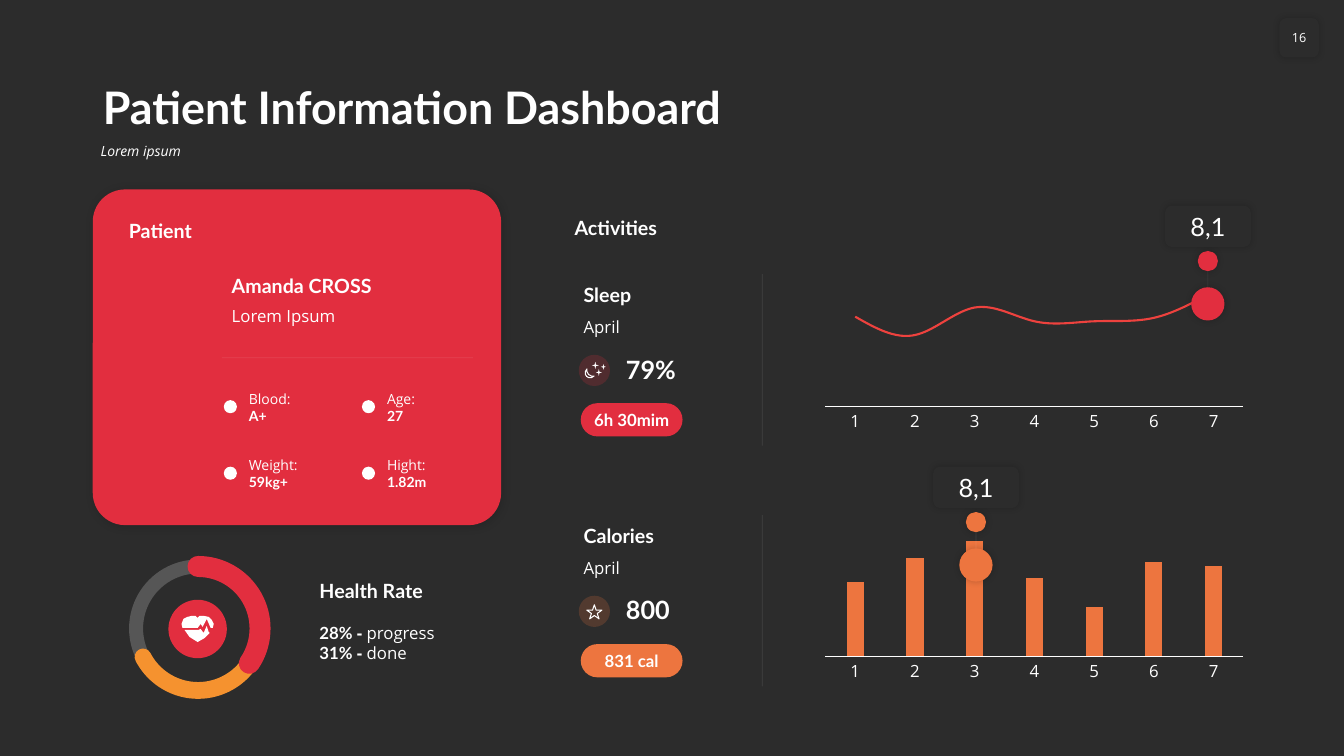
from typing import NamedTuple, Optional

from lxml import etree
from pptx import Presentation
from pptx import util as u
from pptx.chart.data import CategoryChartData
from pptx.dml.color import RGBColor
from pptx.enum import chart as charts, shapes, text
from pptx.oxml.ns import qn

COLORS = {"night": "2C2C2C", "white": "FFFFFF", "red": "E22E3F", "curve": "EE423E",
          "orange": "ED753F", "amber": "F5922F", "black": "000000"}
GRID = u.Inches(0.1)  # side of one grid cell; positions are columns and rows
HEAD, BODY = "Lato", "Open Sans"
TOP, MIDDLE, BOTTOM = text.MSO_ANCHOR.TOP, text.MSO_ANCHOR.MIDDLE, text.MSO_ANCHOR.BOTTOM
PRESET = shapes.MSO_SHAPE


class Area(NamedTuple):
    col: float
    row: float
    cols: float
    rows: float

    def emu(self) -> list[int]:
        return [round(cells * GRID) for cells in self]


class Words(NamedTuple):
    text: str
    size: float
    font: str = BODY
    bold: bool = False
    italic: bool = False


class Shadow(NamedTuple):
    opacity: int
    blur: float
    distance: float


class Activity(NamedTuple):
    name: str
    amount: str
    total: str
    row: float
    color: str
    chart_row: float
    kind: int
    values: tuple
    floor: int
    series_color: str
    pin_col: float
    pin_row: float


FLOAT = Shadow(20, 5, 0)


# Formatting helpers
def rgb(name: str) -> RGBColor:
    return RGBColor.from_string(COLORS[name])


def fade(parent, percent: int) -> None:
    color = next(parent.iter(qn("a:srgbClr")))
    etree.SubElement(color, qn("a:alpha")).set("val", str(percent * 1000))


def write(shape, paragraphs: list[list[Words]], anchor=TOP, align=None, insets=None) -> None:
    frame = shape.text_frame
    frame.word_wrap, frame.vertical_anchor = True, anchor
    if insets:
        frame.margin_left = frame.margin_right = round(insets[0] * GRID)
        frame.margin_top = frame.margin_bottom = round(insets[1] * GRID)
    for number, pieces in enumerate(paragraphs):
        line = frame.add_paragraph() if number else frame.paragraphs[0]
        line.alignment = align
        for words in pieces:
            run = line.add_run()
            run.text = words.text
            font = run.font
            font.name, font.size = words.font, u.Pt(words.size)
            font.bold, font.italic = words.bold, words.italic
            font.color.rgb = rgb("white")


def label(slide, area: Area, *paragraphs: list[Words], anchor=TOP):
    box = slide.shapes.add_textbox(*area.emu())
    write(box, list(paragraphs), anchor)
    return box


def heading(slide, area: Area, words: str, size: float = 14) -> None:
    label(slide, area, [Words(words, size, HEAD, True)], anchor=BOTTOM)


def solid(slide, preset, area: Area, color: str, alpha: Optional[int] = None,
          corner: Optional[float] = None, shadow: Optional[Shadow] = None):
    shape = slide.shapes.add_shape(preset, *area.emu())
    shape.fill.solid()
    shape.fill.fore_color.rgb = rgb(color)
    shape.line.fill.background()
    shape.shadow.inherit = False
    if alpha:
        fade(shape.element.spPr, alpha)
    if corner is not None:
        shape.adjustments[0] = corner
    if shadow:
        effects = shape.element.spPr.find(qn("a:effectLst"))
        outer = etree.SubElement(effects, qn("a:outerShdw"), blurRad=str(u.Pt(shadow.blur)),
                                 dist=str(u.Pt(shadow.distance)), dir="2700000",
                                 algn="tl", rotWithShape="0")
        etree.SubElement(outer, qn("a:srgbClr"), val=COLORS["black"])
        fade(outer, shadow.opacity)
    return shape


def outline(slide, preset, area: Area, color: str, width: float):
    shape = slide.shapes.add_shape(preset, *area.emu())
    shape.fill.background()
    shape.line.color.rgb, shape.line.width = rgb(color), u.Pt(width)
    shape.shadow.inherit = False
    return shape


def hairline(slide, col: float, row: float, end_col: float, end_row: float) -> None:
    ends = [round(cells * GRID) for cells in (col, row, end_col, end_row)]
    rule = slide.shapes.add_connector(shapes.MSO_CONNECTOR.STRAIGHT, *ends)
    rule.line.color.rgb, rule.line.width = rgb("white"), u.Pt(0.5)
    fade(rule.element.spPr, 10)
    etree.SubElement(rule.element.spPr, qn("a:effectLst"))


# Patient card
def patient_card(slide) -> None:
    solid(slide, PRESET.ROUNDED_RECTANGLE, Area(9.2, 18.8, 40.5, 33.3), "red",
          corner=0.096, shadow=Shadow(15, 6, 1))
    heading(slide, Area(11.8, 21.1, 36.1, 3.4), "Patient")
    heading(slide, Area(22, 26.6, 25.9, 3.4), "Amanda CROSS")
    label(slide, Area(22, 29.8, 25.9, 3), [Words("Lorem Ipsum", 12)])
    hairline(slide, 22, 35.5, 46.9, 35.5)
    facts = [("Blood:", "A+"), ("Age:", "27"), ("Weight:", "59kg+"), ("Hight:", "1.82m")]
    for index, (fact, value) in enumerate(facts):
        col, row = 22.2 + index % 2 * 13.7, 38.2 + index // 2 * 6.6
        solid(slide, PRESET.OVAL, Area(col, row + 1.5, 1.3, 1.3), "white")
        label(slide, Area(col + 1.5, row, 9.5, 4.4), [Words(fact, 10)],
              [Words(value, 10, HEAD, True)], anchor=MIDDLE)


# Health rate ring with its heart
def health_rate(slide) -> None:
    ring = Area(13.5, 56.2, 12.3, 12.3)
    track = outline(slide, PRESET.OVAL, ring, "white", 10)
    fade(track.element.spPr, 20)
    solid(slide, PRESET.OVAL, Area(16.7, 59.5, 5.8, 5.8), "red")
    for start, end, color, width in ((33.6, 152.6, "amber", 12), (270, 34.2, "red", 15)):
        arc = outline(slide, PRESET.ARC, ring, color, width)
        for index, degrees in enumerate((start, end)):
            arc.adjustments[index] = degrees * 0.6
        arc.line._get_or_add_ln().set("cap", "rnd")
    heart_top = [(190, 611), (194, 611), (196, 613), (198, 611), (202, 611), (207, 612),
                 (210, 615), (212, 619), (211, 623), (209, 623), (205, 614), (201, 622),
                 (199, 619), (196, 623), (181, 623), (180, 619), (182, 614), (186, 612)]
    heart_tip = [(205, 621), (207, 627), (208, 628), (203, 633), (196, 637), (188, 632),
                 (183, 625), (197, 625), (199, 624), (202, 628)]
    for points in (heart_top, heart_tip):
        builder = slide.shapes.build_freeform(*points[0], scale=GRID / 10)
        builder.add_line_segments(points[1:], close=True)
        heart = builder.convert_to_shape()
        heart.fill.solid()
        heart.fill.fore_color.rgb = rgb("white")
        heart.line.fill.background()
        heart.shadow.inherit = False
    heading(slide, Area(30.7, 56.9, 17.2, 3.4), "Health Rate")
    label(slide, Area(30.7, 61.3, 17.2, 5),
          *[[Words(share, 12, HEAD, True), Words("- ", 12, BODY, True), Words(state, 12)]
            for share, state in (("28% ", "progress"), ("31% ", "done"))])


# Activity panels
def activity_chart(slide, activity: Activity) -> None:
    data = CategoryChartData()
    data.categories = [str(day) for day in range(1, 8)]
    data.add_series("Series 1", activity.values)
    area = Area(81, activity.chart_row, 43.2, 15.8)
    chart = slide.shapes.add_chart(activity.kind, *area.emu(), data).chart
    chart.has_legend = chart.has_title = False
    chart.font.name, chart.font.size = BODY, u.Pt(12)
    chart.font.color.rgb = rgb("white")
    days, scale = chart.category_axis, chart.value_axis
    days.major_tick_mark = days.minor_tick_mark = charts.XL_TICK_MARK.NONE
    days.format.line.color.rgb, days.format.line.width = rgb("white"), u.Pt(0.75)
    scale.visible = scale.has_major_gridlines = False
    scale.minimum_scale, scale.maximum_scale = activity.floor, 100
    plot = chart.plots[0]
    plot.vary_by_categories = False
    series = plot.series[0]
    if activity.kind == charts.XL_CHART_TYPE.LINE:
        series.smooth = True
        series.marker.style = charts.XL_MARKER_STYLE.NONE
        series.format.line.color.rgb = rgb(activity.series_color)
        series.format.line.width = u.Pt(1.5)
    else:
        plot.gap_width = 250
        series.format.fill.solid()
        series.format.fill.fore_color.rgb = rgb(activity.series_color)
    # Fixed inner plot area
    plot_area = chart.element.chart.plotArea
    for old in plot_area.findall(qn("c:layout")):
        plot_area.remove(old)
    layout = etree.Element(qn("c:layout"))
    plot_area.insert(0, layout)
    manual = etree.SubElement(layout, qn("c:manualLayout"))
    for tag, value in (("layoutTarget", "inner"), ("xMode", "edge"), ("yMode", "edge"),
                       ("x", "0.02"), ("y", "0.09"), ("w", "0.96"), ("h", "0.72")):
        etree.SubElement(manual, qn("c:" + tag), val=value)


def pin(slide, col: float, row: float, color: str) -> None:
    solid(slide, PRESET.OVAL, Area(col - 1.65, row + 8.1, 3.3, 3.3), color, shadow=FLOAT)
    hairline(slide, col, row + 6.5, col, row + 8.1)
    solid(slide, PRESET.OVAL, Area(col - 1, row + 4.5, 2, 2), color, shadow=FLOAT)
    tag = solid(slide, PRESET.ROUNDED_RECTANGLE, Area(col - 4.25, row, 8.5, 4.1), "night",
                shadow=FLOAT)
    write(tag, [[Words("8,1", 18, HEAD)]], MIDDLE, text.PP_ALIGN.CENTER, (0.8, 0.5))


def activity_panel(slide, activity: Activity) -> None:
    row = activity.row
    heading(slide, Area(56.9, row, 16.6, 3.4), activity.name)
    label(slide, Area(56.9, row + 3.4, 16.6, 3), [Words("April", 12)])
    solid(slide, PRESET.OVAL, Area(57.4, row + 7.7, 3.1, 3.1), activity.color, alpha=20)
    heading(slide, Area(61.1, row + 7.1, 12.4, 4), activity.amount, 18)
    pill = solid(slide, PRESET.ROUNDED_RECTANGLE, Area(57.6, row + 12.5, 10.1, 3.3),
                 activity.color, corner=0.5)
    write(pill, [[Words(activity.total, 12, HEAD, True)]], MIDDLE, text.PP_ALIGN.CENTER, (0, 0))
    hairline(slide, 75.6, row + 16.7, 75.6, row - 0.3)
    activity_chart(slide, activity)
    pin(slide, activity.pin_col, activity.pin_row, activity.color)


def activity_icons(slide) -> None:
    moon = outline(slide, PRESET.MOON, Area(58.1, 36.65, 0.55, 1), "white", 0.75)
    moon.rotation = -45
    for twinkle in (Area(59.6, 36.1, 0.5, 0.6), Area(58.7, 35.9, 0.7, 0.7),
                    Area(59.1, 36.6, 0.6, 0.7)):
        solid(slide, PRESET.STAR_4_POINT, twinkle, "white", corner=0.14)
    outline(slide, PRESET.STAR_5_POINT, Area(58.2, 60, 1.5, 1.4), "white", 0.75)


def main() -> None:
    deck = Presentation()
    deck.slide_width, deck.slide_height = u.Inches(13.33), u.Inches(7.5)
    slide = deck.slides.add_slide(deck.slide_layouts[5])
    slide.background.fill.solid()
    slide.background.fill.fore_color.rgb = rgb("night")

    # Title, subtitle and page number
    title = slide.shapes.title
    title.left, title.top, title.width, title.height = Area(9.2, 5.8, 115, 8).emu()
    write(title, [[Words("Patient Information Dashboard", 32, HEAD, True)]], BOTTOM,
          text.PP_ALIGN.LEFT)
    subtitle = label(slide, Area(9, 13.8, 115.2, 3.6), [Words("Lorem ipsum", 10, italic=True)])
    for heading_box in (title, subtitle):
        heading_box.text_frame.paragraphs[0].line_spacing = 0.9
    page = solid(slide, PRESET.ROUNDED_RECTANGLE, Area(126.9, 1.8, 3.9, 3.9), "night",
                 shadow=FLOAT)
    write(page, [[Words("16", 9)]], MIDDLE, text.PP_ALIGN.CENTER, (0, 0.5))

    patient_card(slide)
    health_rate(slide)
    heading(slide, Area(56, 20.8, 38.1, 3.4), "Activities")
    kinds = charts.XL_CHART_TYPE
    for activity in (
            Activity("Sleep", "79%", "6h 30mim", 27.5, "red", 27.5, kinds.LINE,
                     (78, 62, 86, 74, 74, 77, 100), 0, "curve", 119.8, 20.4),
            Activity("Calories", "800", "831 cal", 51.4, "orange", 52.3, kinds.COLUMN_CLUSTERED,
                     (90, 96, 100, 91, 84, 95, 94), 72, "orange", 96.8, 46.3)):
        activity_panel(slide, activity)
    activity_icons(slide)
    deck.save("out.pptx")


if __name__ == "__main__":
    main()
